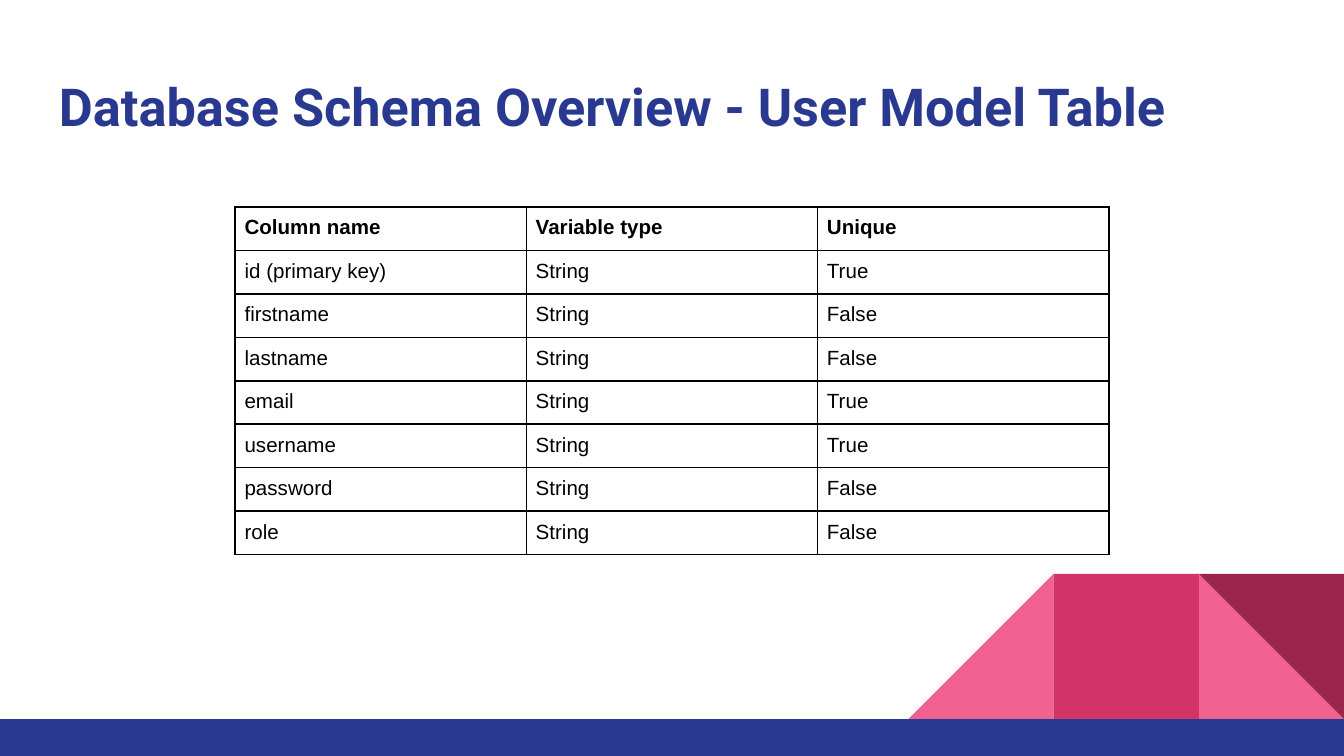
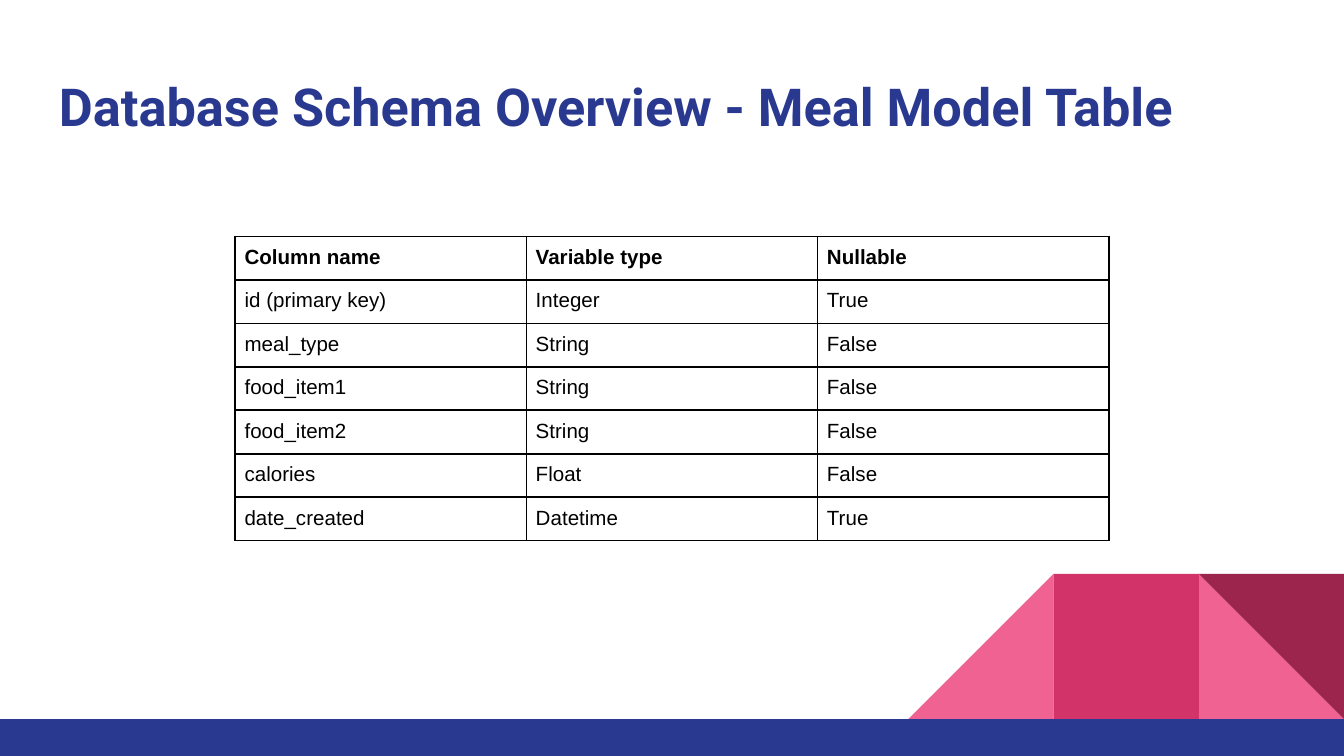
from typing import NamedTuple

from lxml.etree import SubElement
from pptx import Presentation
from pptx.dml.color import RGBColor
from pptx.enum.shapes import MSO_SHAPE
from pptx.enum.text import MSO_ANCHOR
from pptx.oxml.ns import qn
from pptx.slide import Slide
from pptx.table import _Cell
from pptx.text.text import TextFrame
from pptx.util import Inches, Pt

COLORS = {
    "navy": "2A3990",
    "light_pink": "F06292",
    "pink": "D23369",
    "maroon": "9C254D",
    "black": "000000",
}
PAGE_WIDTH = 10
PAGE_HEIGHT = PAGE_WIDTH * 9 / 16
BAND_TOP = 5.35
TILE = 1.08
TILE_TOP = BAND_TOP - TILE
TABLE_LEFT, TABLE_WIDTH = 1.75, 6.5
TABLE_FRAME = 3.28
ROW_HEIGHT = 0.01  # rows grow to fit their text
CELL_INSET = 0.07


class Block(NamedTuple):
    kind: MSO_SHAPE
    left: float
    top: float
    width: float
    height: float
    color: str
    flipped: bool = False
    rotation: int = 0


class TextStyle(NamedTuple):
    font: str
    size: int
    color: str
    bold: bool


class SchemaPage(NamedTuple):
    title: str
    table_top: float
    rows: list[tuple[str, str, str]]


def tile(kind: MSO_SHAPE, from_right: int, color: str,
         flipped: bool = False, rotation: int = 0) -> Block:
    left = PAGE_WIDTH - from_right * TILE
    return Block(kind, left, TILE_TOP, TILE, TILE, color, flipped, rotation)


TITLE_STYLE = TextStyle("Roboto", 28, "navy", True)
HEADER_STYLE = TextStyle("Arial", 11, "black", True)
BODY_STYLE = HEADER_STYLE._replace(bold=False)

# Corner tiles and footer band, back to front
DECORATION = [
    tile(MSO_SHAPE.RIGHT_TRIANGLE, 1, "light_pink"),
    tile(MSO_SHAPE.RIGHT_TRIANGLE, 3, "light_pink", flipped=True),
    tile(MSO_SHAPE.RECTANGLE, 2, "pink"),
    tile(MSO_SHAPE.RIGHT_TRIANGLE, 1, "maroon", rotation=180),
    Block(MSO_SHAPE.RECTANGLE, 0, BAND_TOP, PAGE_WIDTH, PAGE_HEIGHT - BAND_TOP, "navy"),
]

PAGES = [
    SchemaPage("Database Schema Overview - User Model Table", 1.54, [
        ("Column name", "Variable type", "Unique"),
        ("id (primary key)", "String", "True"),
        ("firstname", "String", "False"),
        ("lastname", "String", "False"),
        ("email", "String", "True"),
        ("username", "String", "True"),
        ("password", "String", "False"),
        ("role", "String", "False"),
    ]),
    SchemaPage("Database Schema Overview - Meal Model Table", 1.76, [
        ("Column name", "Variable type", "Nullable"),
        ("id (primary key)", "Integer", "True"),
        ("meal_type", "String", "False"),
        ("food_item1", "String", "False"),
        ("food_item2", "String", "False"),
        ("calories", "Float", "False"),
        ("date_created", "Datetime", "True"),
    ]),
]


def write_text(frame: TextFrame, text: str, style: TextStyle) -> None:
    span = frame.paragraphs[0].add_run()
    span.text = text
    span.font.name = style.font
    span.font.size = Pt(style.size)
    span.font.bold = style.bold
    span.font.color.rgb = RGBColor.from_string(COLORS[style.color])


def draw_block(page: Slide, block: Block) -> None:
    shape = page.shapes.add_shape(
        block.kind, Inches(block.left), Inches(block.top),
        Inches(block.width), Inches(block.height))
    shape.shadow.inherit = False
    shape.fill.solid()
    shape.fill.fore_color.rgb = RGBColor.from_string(COLORS[block.color])
    shape.line.fill.background()
    shape.rotation = block.rotation
    if block.flipped:
        shape.element.spPr.find(qn("a:xfrm")).set("flipH", "1")


def draw_title(page: Slide, text: str) -> None:
    box = page.shapes.add_textbox(Inches(0.34), Inches(0.45), Inches(9.32), Inches(0.66))
    frame = box.text_frame
    frame.word_wrap = True
    frame.vertical_anchor = MSO_ANCHOR.TOP
    frame.margin_left = frame.margin_right = Inches(0.1)
    frame.margin_top = frame.margin_bottom = Inches(0.1)
    write_text(frame, text, TITLE_STYLE)


def style_cell(cell: _Cell) -> None:
    cell.margin_left = cell.margin_right = Inches(CELL_INSET)
    cell.margin_top = cell.margin_bottom = Inches(CELL_INSET)
    # Borders come before the fill in the cell properties
    properties = cell._tc.get_or_add_tcPr()
    for side in ("a:lnL", "a:lnR", "a:lnT", "a:lnB"):
        border = SubElement(properties, qn(side), w=str(Pt(1)))
        fill = SubElement(border, qn("a:solidFill"))
        SubElement(fill, qn("a:srgbClr"), val=COLORS["black"])
    cell.fill.background()


def draw_table(page: Slide, top: float, rows: list[tuple[str, str, str]]) -> None:
    column_count = len(rows[0])
    holder = page.shapes.add_table(
        len(rows), column_count, Inches(TABLE_LEFT), Inches(top),
        Inches(TABLE_WIDTH), Inches(ROW_HEIGHT * len(rows)))
    table = holder.table
    table.first_row = table.horz_banding = False
    for row_index, values in enumerate(rows):
        style = BODY_STYLE if row_index else HEADER_STYLE
        for column_index, value in enumerate(values):
            cell = table.cell(row_index, column_index)
            style_cell(cell)
            write_text(cell.text_frame, value, style)
    holder.width = holder.height = Inches(TABLE_FRAME)


def main() -> None:
    deck = Presentation()
    deck.slide_width, deck.slide_height = Inches(PAGE_WIDTH), Inches(PAGE_HEIGHT)
    for schema in PAGES:
        page = deck.slides.add_slide(deck.slide_layouts[6])
        for block in DECORATION:
            draw_block(page, block)
        draw_title(page, schema.title)
        draw_table(page, schema.table_top, schema.rows)
    deck.save("out.pptx")


if __name__ == "__main__":
    main()
